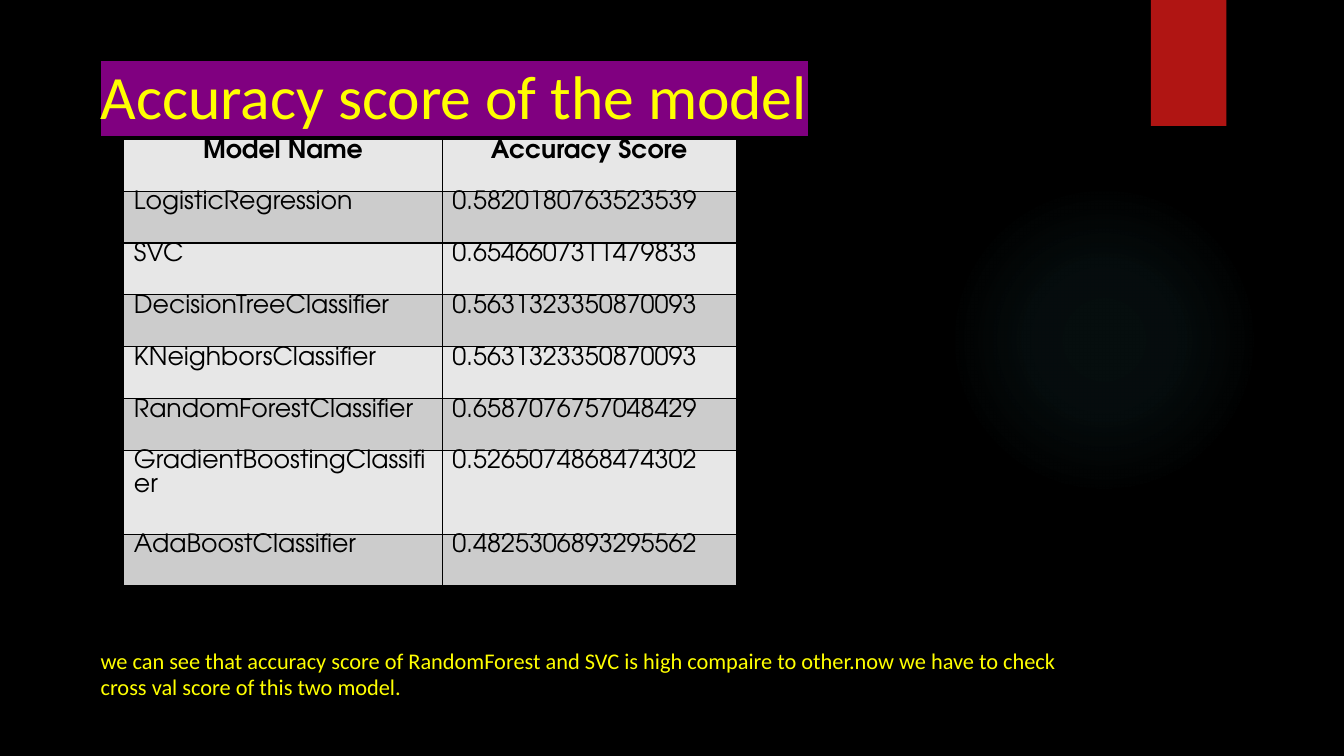
import dataclasses

import lxml.etree
import pptx
import pptx.dml.color
import pptx.enum.shapes
import pptx.enum.text
import pptx.oxml.ns
import pptx.util

SLIDE_WIDTH = pptx.util.Inches(13.333)
SLIDE_HEIGHT = pptx.util.Inches(7.5)
GRID_COLUMNS, GRID_ROWS = 160, 90


@dataclasses.dataclass(frozen=True)
class Theme:
    background: str = "000000"
    accent: str = "B01513"
    glow: str = "50B9C1"
    text: str = "FFFF00"
    highlight: str = "800080"
    table_text: str = "000000"
    bands: tuple[str, str] = ("E7E7E7", "CCCCCC")
    text_font: str = "Calibri"
    table_font: str = "TeX Gyre Adventor"
    title_size: int = 44
    conclusion_size: int = 16
    table_size: int = 18
    border_width: int = 1


@dataclasses.dataclass(frozen=True)
class Area:
    """A place on the grid, in columns and rows."""
    left: float
    top: float
    width: float
    height: float

    def box(self) -> tuple[int, int, int, int]:
        return across(self.left), down(self.top), across(self.width), down(self.height)


@dataclasses.dataclass(frozen=True)
class Score:
    model: str
    accuracy: str
    rows: float = 6.17


@dataclasses.dataclass(frozen=True)
class Caption:
    area: Area
    text: str
    size: int
    highlight: str = ""


THEME = Theme()
GLOW_AREA = Area(112.92, 21.96, 36.96, 36.96)
GLOW_STOPS = ((0, 7), (36, 6), (69, 0))  # position and opacity, in percent
RIBBON_AREA = Area(137, 0, 9, 15)
TABLE_LEFT, TABLE_TOP = 14.75, 16.6
TABLE_COLUMNS = (37.9, 35)

SCORES = (
    Score("Model Name", "Accuracy Score"),
    Score("LogisticRegression", "0.5820180763523539"),
    Score("SVC", "0.6546607311479833"),
    Score("DecisionTreeClassifier", "0.5631323350870093"),
    Score("KNeighborsClassifier", "0.5631323350870093"),
    Score("RandomForestClassifier", "0.6587076757048429"),
    Score("GradientBoostingClassifier", "0.5265074868474302", 10),
    Score("AdaBoostClassifier", "0.4825306893295562"),
)

CAPTIONS = (
    Caption(Area(10.8, 6.3, 121, 10), "Accuracy score of the model",
            THEME.title_size, THEME.highlight),
    Caption(Area(10.8, 76.4, 121, 8),
            "we can see that accuracy score of RandomForest and SVC is high compaire "
            "to other.now we have to check cross val score of this two model.",
            THEME.conclusion_size),
)


def across(columns: float) -> int:
    return round(SLIDE_WIDTH * columns / GRID_COLUMNS)


def down(rows: float) -> int:
    return round(SLIDE_HEIGHT * rows / GRID_ROWS)


def color(value: str) -> pptx.dml.color.RGBColor:
    return pptx.dml.color.RGBColor.from_string(value)


def add_child(parent, tag: str, **attributes):
    return lxml.etree.SubElement(parent, pptx.oxml.ns.qn(tag), attributes)


def add_color(parent, value: str):
    return add_child(parent, "a:srgbClr", val=value)


def add_run(paragraph, text: str, font: str, size: int, fill: str, bold: bool = False):
    run = paragraph.add_run()
    run.text = text
    run.font.name = font
    run.font.size = pptx.util.Pt(size)
    run.font.bold = bold
    run.font.color.rgb = color(fill)
    return run


def add_plain_shape(slide, kind, area: Area):
    shape = slide.shapes.add_shape(kind, *area.box())
    shape.shadow.inherit = False
    shape.line.fill.background()
    return shape


def add_glow(slide) -> None:
    glow = add_plain_shape(slide, pptx.enum.shapes.MSO_SHAPE.OVAL, GLOW_AREA)
    glow.fill.gradient()
    gradient = glow.element.spPr.find(pptx.oxml.ns.qn("a:gradFill"))
    for child in list(gradient):
        gradient.remove(child)
    stops = add_child(gradient, "a:gsLst")
    for position, opacity in GLOW_STOPS:
        stop = add_child(stops, "a:gs", pos=str(position * 1000))
        add_child(add_color(stop, THEME.glow), "a:alpha", val=str(opacity * 1000))
    center = add_child(gradient, "a:path", path="circle")
    add_child(center, "a:fillToRect", l="50000", t="50000", r="50000", b="50000")


def add_ribbon(slide) -> None:
    ribbon = add_plain_shape(slide, pptx.enum.shapes.MSO_SHAPE.RECTANGLE, RIBBON_AREA)
    ribbon.fill.solid()
    ribbon.fill.fore_color.rgb = color(THEME.accent)


def add_caption(slide, caption: Caption) -> None:
    frame = slide.shapes.add_textbox(*caption.area.box()).text_frame
    frame.word_wrap = True
    run = add_run(frame.paragraphs[0], caption.text, THEME.text_font,
                  caption.size, THEME.text)
    if caption.highlight:
        marker = lxml.etree.Element(pptx.oxml.ns.qn("a:highlight"))
        add_color(marker, caption.highlight)
        run.font.fill  # the highlight follows the text fill
        run.font._element.find(pptx.oxml.ns.qn("a:solidFill")).addnext(marker)


def style_cell(cell, text: str, band: str, is_header: bool) -> None:
    cell.margin_top = cell.margin_bottom = 0
    paragraph = cell.text_frame.paragraphs[0]
    if is_header:
        paragraph.alignment = pptx.enum.text.PP_ALIGN.CENTER
    add_run(paragraph, text, THEME.table_font, THEME.table_size,
            THEME.table_text, is_header)
    # Borders come before the fill in the cell's properties
    properties = cell._tc.get_or_add_tcPr()
    for side in ("a:lnL", "a:lnR", "a:lnT", "a:lnB"):
        border = add_child(properties, side, w=str(pptx.util.Pt(THEME.border_width)))
        add_color(add_child(border, "a:solidFill"), THEME.table_text)
    cell.fill.solid()
    cell.fill.fore_color.rgb = color(band)


def add_scores(slide) -> None:
    area = Area(TABLE_LEFT, TABLE_TOP, sum(TABLE_COLUMNS), sum(s.rows for s in SCORES))
    table = slide.shapes.add_table(len(SCORES), len(TABLE_COLUMNS), *area.box()).table
    for column, width in zip(table.columns, TABLE_COLUMNS):
        column.width = across(width)
    for index, score in enumerate(SCORES):
        table.rows[index].height = down(score.rows)
        band = THEME.bands[index % len(THEME.bands)]
        for column, text in enumerate((score.model, score.accuracy)):
            style_cell(table.cell(index, column), text, band, index == 0)


def main() -> None:
    deck = pptx.Presentation()
    deck.slide_width, deck.slide_height = SLIDE_WIDTH, SLIDE_HEIGHT
    slide = deck.slides.add_slide(deck.slide_layouts[6])
    slide.background.fill.solid()
    slide.background.fill.fore_color.rgb = color(THEME.background)
    # Backdrop
    add_glow(slide)
    add_ribbon(slide)
    # Content
    for caption in CAPTIONS:
        add_caption(slide, caption)
    add_scores(slide)
    deck.save("out.pptx")


if __name__ == "__main__":
    main()
